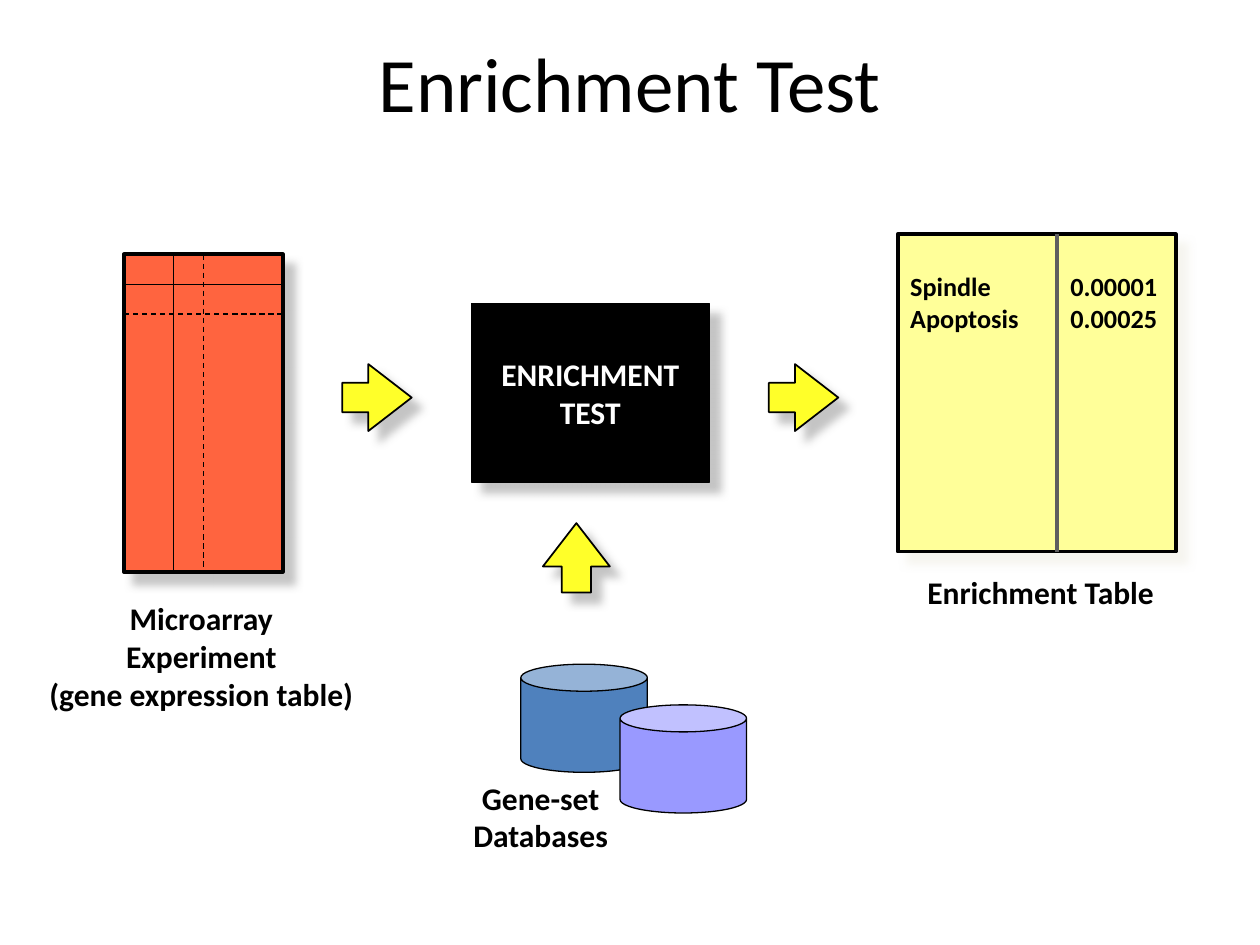
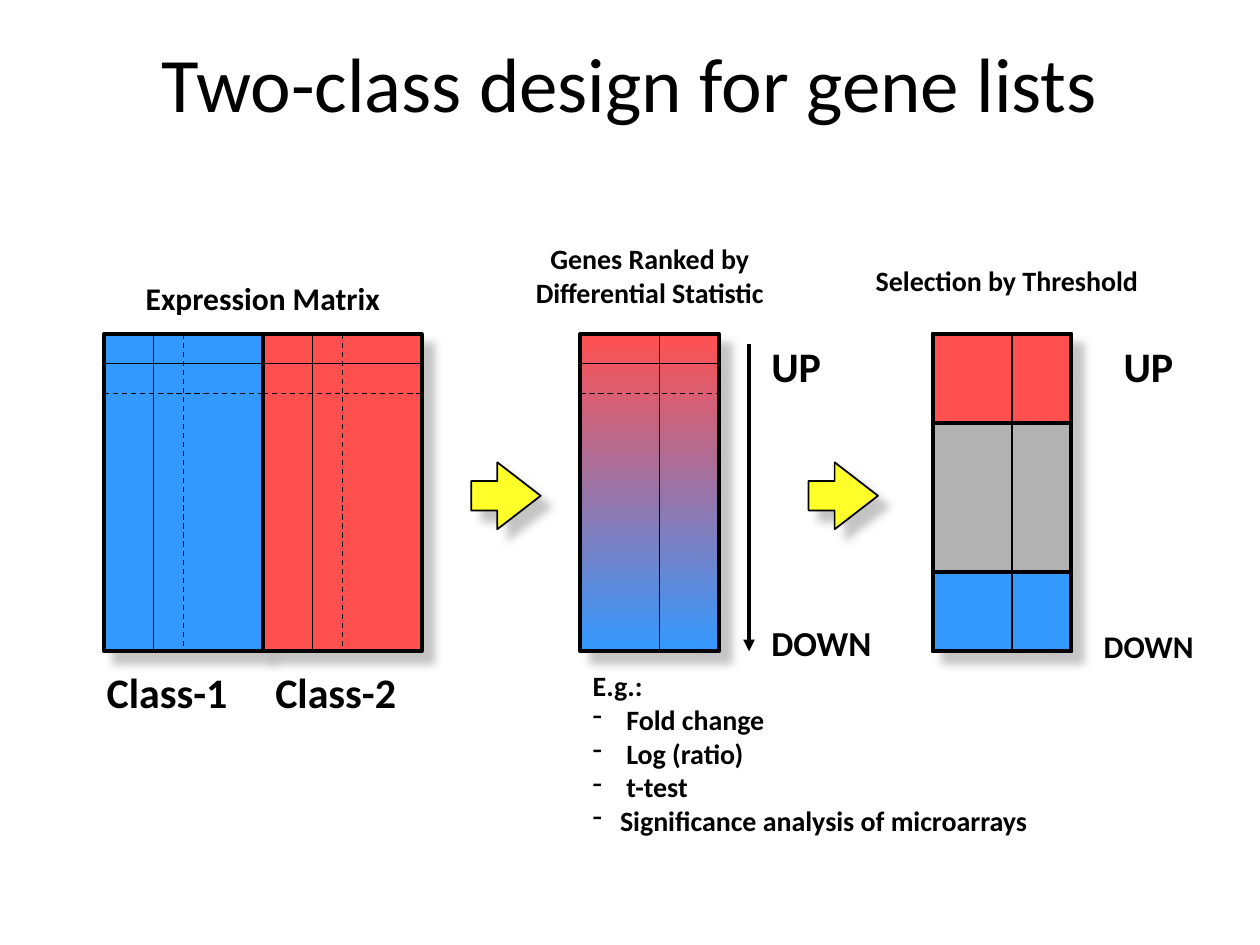
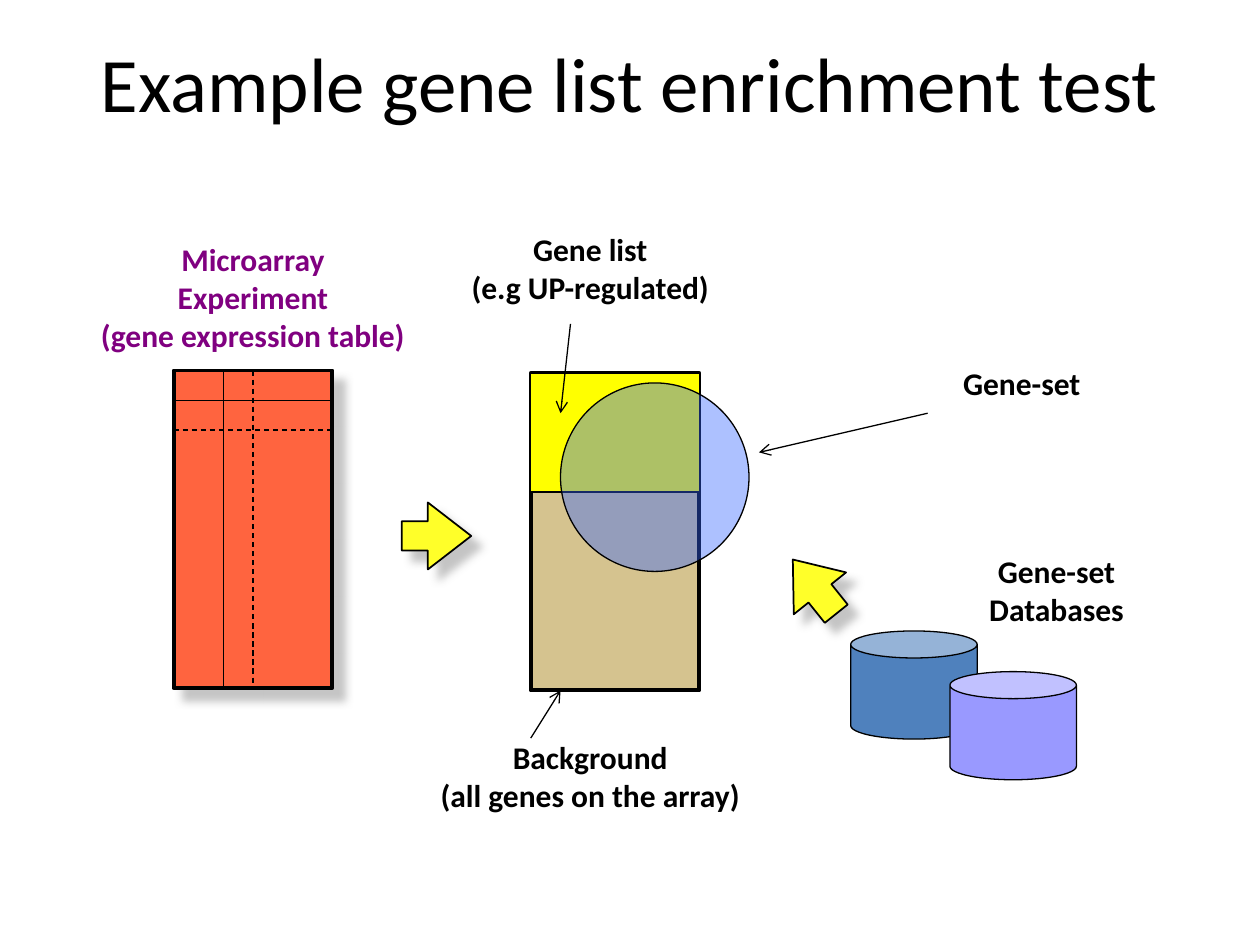
from dataclasses import dataclass

from lxml.etree import SubElement
from pptx import Presentation
from pptx.dml.color import RGBColor
from pptx.enum.dml import MSO_LINE
from pptx.enum.shapes import MSO_CONNECTOR, MSO_SHAPE as Preset
from pptx.enum.text import MSO_ANCHOR as Anchor, PP_ALIGN as Align
from pptx.oxml.ns import qn
from pptx.util import Cm, Pt


@dataclass(frozen=True)
class Theme:
    font: str = "Calibri"
    title_size: float = 44
    class_size: float = 24
    down_size: float = 20
    label_size: float = 18
    note_size: float = 16
    table_size: float = 15
    thin: float = 0.75
    arrow_line: float = 1
    thick: float = 2.25
    black: RGBColor = RGBColor(0x00, 0x00, 0x00)
    white: RGBColor = RGBColor(0xFF, 0xFF, 0xFF)
    grey: RGBColor = RGBColor(0xB2, 0xB2, 0xB2)
    divider: RGBColor = RGBColor(0x5F, 0x5F, 0x5F)
    cream: RGBColor = RGBColor(0xEE, 0xEC, 0xE1)
    pale_yellow: RGBColor = RGBColor(0xFF, 0xFF, 0x99)
    arrow_yellow: RGBColor = RGBColor(0xFF, 0xFF, 0x29)
    list_yellow: RGBColor = RGBColor(0xFF, 0xFF, 0x00)
    tan: RGBColor = RGBColor(0xD5, 0xC3, 0x8F)
    orange: RGBColor = RGBColor(0xFF, 0x64, 0x3F)
    up_red: RGBColor = RGBColor(0xFF, 0x50, 0x50)
    down_blue: RGBColor = RGBColor(0x33, 0x99, 0xFF)
    set_blue: RGBColor = RGBColor(0x33, 0x66, 0xFF)
    steel: RGBColor = RGBColor(0x4F, 0x81, 0xBD)
    lilac: RGBColor = RGBColor(0x99, 0x99, 0xFF)
    purple: RGBColor = RGBColor(0x80, 0x00, 0x80)


THEME = Theme()

# Sizes in centimetres shared by the diagrams
PANEL_HEIGHT = 6.4
ARRAY_WIDTH = 3.2
RANKED_WIDTH = 2.8
LABEL_WIDTH = 6.4
COLUMN_LINES = (1.0, 1.6)
ROW_LINES = (0.6, 1.2)


def place(*lengths):
    return [Cm(length) for length in lengths]


def write_lines(frame, text, size, colour, align, bold=True):
    """Fill a text frame with one paragraph for each line of text."""
    for number, line in enumerate(text.split("\n")):
        paragraph = frame.paragraphs[0] if number == 0 else frame.add_paragraph()
        paragraph.alignment = align
        run = paragraph.add_run()
        run.text = line
        run.font.name = THEME.font
        run.font.size = Pt(size)
        run.font.bold = bold
        run.font.color.rgb = colour


def add_label(slide, text, left, top, width, height, size=THEME.label_size,
              colour=THEME.black, align=Align.CENTER, bold=True):
    box = slide.shapes.add_textbox(*place(left, top, width, height))
    box.text_frame.word_wrap = True
    write_lines(box.text_frame, text, size, colour, align, bold)
    return box


def add_title(slide, text):
    box = add_label(slide, text, 1.27, 0.76, 22.86, 1.78, THEME.title_size, bold=False)
    box.text_frame.vertical_anchor = Anchor.MIDDLE


def add_dashes(paragraph, indent=0.55):
    properties = paragraph._p.get_or_add_pPr()
    properties.set("marL", str(Cm(indent)))
    properties.set("indent", str(-Cm(indent)))
    SubElement(properties, qn("a:buChar"), char="-")


def add_tab_stop(paragraph, position):
    tabs = SubElement(paragraph._p.get_or_add_pPr(), qn("a:tabLst"))
    SubElement(tabs, qn("a:tab"), pos=str(Cm(position)), algn="l")


def set_alpha(colour_element, percent):
    SubElement(colour_element, qn("a:alpha"), val=str(percent * 1000))


def add_shadow(shape, colour, percent):
    effects = shape.element.spPr.find(qn("a:effectLst"))
    shadow = SubElement(effects, qn("a:outerShdw"), blurRad=str(Pt(5)),
                        dist=str(Pt(8.5)), dir="2700000", algn="ctr", rotWithShape="0")
    set_alpha(SubElement(shadow, qn("a:srgbClr"), val=str(colour)), percent)


def add_block(slide, preset, left, top, width, height, fill, weight=THEME.thick,
              shadow=None, shadow_alpha=75):
    """Add a black-outlined shape; a pair of fill colours gives a downward gradient."""
    shape = slide.shapes.add_shape(preset, *place(left, top, width, height))
    shape.shadow.inherit = False
    if isinstance(fill, RGBColor):
        shape.fill.solid()
        shape.fill.fore_color.rgb = fill
    else:
        shape.fill.gradient()
        shape.fill.gradient_angle = 270
        for stop, colour in zip(shape.fill.gradient_stops, fill):
            stop.color.rgb = colour
    shape.line.color.rgb = THEME.black
    shape.line.width = Pt(weight)
    if shadow is not None:
        add_shadow(shape, shadow, shadow_alpha)
    return shape


def add_line(slide, start, end, weight=THEME.thin, colour=THEME.black,
             dashed=False, arrowhead=None):
    line = slide.shapes.add_connector(MSO_CONNECTOR.STRAIGHT, *place(*start, *end))
    line.line.color.rgb = colour
    line.line.width = Pt(weight)
    if dashed:
        line.line.dash_style = MSO_LINE.DASH
    if arrowhead:
        SubElement(line.line._get_or_add_ln(), qn("a:tailEnd"), type=arrowhead)
    SubElement(line.element.spPr, qn("a:effectLst"))


def add_row_lines(slide, left, top, width):
    for offset, dashed in zip(ROW_LINES, (False, True)):
        add_line(slide, (left, top + offset), (left + width, top + offset), dashed=dashed)


def add_column_line(slide, x, top, dashed=False):
    add_line(slide, (x, top), (x, top + PANEL_HEIGHT), dashed=dashed)


def add_expression_array(slide, left, top, fill):
    add_block(slide, Preset.RECTANGLE, left, top, ARRAY_WIDTH, PANEL_HEIGHT, fill,
              shadow=THEME.grey)
    add_row_lines(slide, left, top, ARRAY_WIDTH)
    for offset, dashed in zip(COLUMN_LINES, (False, True)):
        add_column_line(slide, left + offset, top, dashed)


def add_step_arrow(slide, left, top, rotation=0):
    arrow = add_block(slide, Preset.RIGHT_ARROW, left, top, 1.4, 1.35,
                      THEME.arrow_yellow, THEME.arrow_line, THEME.grey)
    arrow.adjustments[0] = 0.438
    arrow.adjustments[1] = 0.647
    arrow.rotation = rotation


def add_databases(slide, left, top):
    for number, colour in enumerate((THEME.steel, THEME.lilac)):
        add_block(slide, Preset.CAN, left + 2.0 * number, top + 0.82 * number,
                  2.55, 2.18, colour, THEME.thin)


def add_database_label(slide, left, top):
    add_label(slide, "Gene-set\nDatabases", left, top, LABEL_WIDTH, 1.78)


def add_microarray_label(slide, left, top, colour):
    add_label(slide, "Microarray\nExperiment\n(gene expression table)",
              left, top, 6.8, 2.54, colour=colour)


def add_enrichment_table(slide, left, top):
    add_block(slide, Preset.RECTANGLE, left, top, 5.6, PANEL_HEIGHT, THEME.pale_yellow,
              shadow=THEME.cream, shadow_alpha=50)
    rows = add_label(slide, "Spindle\t0.00001\nApoptosis\t0.00025", left, top + 0.61,
                     LABEL_WIDTH, 1.85, THEME.table_size, align=Align.LEFT)
    for paragraph in rows.text_frame.paragraphs:
        add_tab_stop(paragraph, 3.23)
    add_line(slide, (left + 3.2, top), (left + 3.2, top + PANEL_HEIGHT),
             THEME.thick, THEME.divider)
    add_label(slide, "Enrichment Table", 17.78, 11.43, LABEL_WIDTH, 1.02)


def build_enrichment_test(slide):
    add_title(slide, "Enrichment Test")
    add_enrichment_table(slide, 18.1, 4.72)
    add_databases(slide, 10.5, 13.39)
    add_database_label(slide, 7.7, 15.57)
    add_step_arrow(slide, 10.92, 10.57, rotation=270)
    for left in (6.9, 15.5):
        add_step_arrow(slide, left, 7.34)
    test = add_block(slide, Preset.RECTANGLE, 9.5, 6.12, 4.8, 3.6, THEME.black,
                     THEME.thin, THEME.grey)
    test.text_frame.word_wrap = False
    test.text_frame.vertical_anchor = Anchor.MIDDLE
    write_lines(test.text_frame, "ENRICHMENT\nTEST", THEME.label_size, THEME.white,
                Align.CENTER)
    add_expression_array(slide, 2.5, 5.13, THEME.orange)
    add_microarray_label(slide, 0.66, 11.96, THEME.black)


def add_ranked_genes(slide, left, top):
    add_label(slide, "Genes Ranked by\nDifferential Statistic", left - 1.8, 4.75,
              LABEL_WIDTH, 1.63, THEME.note_size)
    statistics = add_label(
        slide, "E.g.:\n Fold change\n Log (ratio)\n t-test\n"
        "Significance analysis of microarrays",
        left, 13.36, 10.3, 3.68, THEME.note_size, align=Align.LEFT)
    statistics.fill.solid()
    statistics.fill.fore_color.rgb = THEME.white
    for paragraph in statistics.text_frame.paragraphs[1:]:
        add_dashes(paragraph)
    add_block(slide, Preset.RECTANGLE, left, top, RANKED_WIDTH, PANEL_HEIGHT,
              (THEME.up_red, THEME.down_blue), shadow=THEME.grey)
    add_column_line(slide, left + 1.6, top)
    add_row_lines(slide, left, top, RANKED_WIDTH)
    add_line(slide, (left + 3.4, top + 0.2), (left + 3.4, top + PANEL_HEIGHT),
             THEME.thick, arrowhead="triangle")


def add_threshold_selection(slide, left, top):
    add_label(slide, "Selection by Threshold", left - 1.7, 5.18, LABEL_WIDTH, 0.94,
              THEME.note_size)
    add_block(slide, Preset.RECTANGLE, left, top, RANKED_WIDTH, PANEL_HEIGHT,
              THEME.grey, shadow=THEME.grey)
    add_block(slide, Preset.RECTANGLE, left, top, RANKED_WIDTH, 1.8, THEME.up_red)
    add_block(slide, Preset.RECTANGLE, left, top + 4.8, RANKED_WIDTH, 1.6,
              THEME.down_blue)
    add_column_line(slide, left + 1.6, top)


def build_two_class_design(slide):
    top = 6.73
    add_title(slide, "Two-class design for gene lists")
    add_label(slide, "Expression Matrix", 2.1, 5.51, LABEL_WIDTH, 1.02)
    for left, fill in ((2.1, THEME.down_blue), (5.3, THEME.up_red)):
        add_expression_array(slide, left, top, fill)
    for text, left in (("Class-1", 1.9), ("Class-2", 5.3)):
        add_label(slide, text, left, 13.31, 3.2, 0.94, THEME.class_size, align=Align.LEFT)
    add_ranked_genes(slide, 11.7, top)
    add_threshold_selection(slide, 18.8, top)
    for left in (9.5, 16.3):
        add_step_arrow(slide, left, 9.32)
    for left in (15.3, 22.4):
        add_label(slide, "UP", left, top, 1.6, 0.94, THEME.class_size, align=Align.LEFT)
    for left, label_top, size in ((15.3, 12.4, THEME.down_size),
                                  (22.0, 12.52, THEME.label_size)):
        add_label(slide, "DOWN", left, label_top, 2.8, 1.1, size, align=Align.LEFT)


def build_gene_list_test(slide):
    add_title(slide, "Example gene list enrichment test")
    add_databases(slide, 17.15, 12.72)
    add_database_label(slide, 18.1, 11.0)
    add_microarray_label(slide, 1.7, 4.72, THEME.purple)
    add_expression_array(slide, 3.5, 7.47, THEME.orange)

    add_block(slide, Preset.RECTANGLE, 10.7, 7.52, 3.4, PANEL_HEIGHT, THEME.tan)
    add_block(slide, Preset.RECTANGLE, 10.7, 7.52, 3.4, 2.4, THEME.list_yellow, THEME.thin)
    gene_set = add_block(slide, Preset.OVAL, 11.3, 7.72, 3.8, 3.8, THEME.set_blue,
                         THEME.thin)
    set_alpha(gene_set.element.spPr.find(qn("a:solidFill"))[0], 40)

    add_step_arrow(slide, 8.1, 10.13)
    add_step_arrow(slide, 15.72, 11.15, rotation=231.3)
    add_label(slide, "Gene list\n(e.g UP-regulated)", 8.7, 4.52, LABEL_WIDTH, 1.78)
    add_label(slide, "Background\n(all genes on the array)", 7.9, 14.76, 8.0, 1.8)
    add_label(slide, "Gene-set", 17.4, 7.21, LABEL_WIDTH, 1.02)
    pointers = (((18.7, 8.33), (15.3, 9.12)),
                ((11.5, 6.53), (11.3, 8.33)),
                ((10.7, 14.88), (11.3, 13.92)))
    for start, end in pointers:
        add_line(slide, start, end, arrowhead="arrow")


def main():
    presentation = Presentation()
    presentation.slide_width, presentation.slide_height = place(25.4, 19.05)
    blank_layout = presentation.slide_layouts[6]
    for build in (build_enrichment_test, build_two_class_design, build_gene_list_test):
        build(presentation.slides.add_slide(blank_layout))
    presentation.save("out.pptx")


if __name__ == "__main__":
    main()
